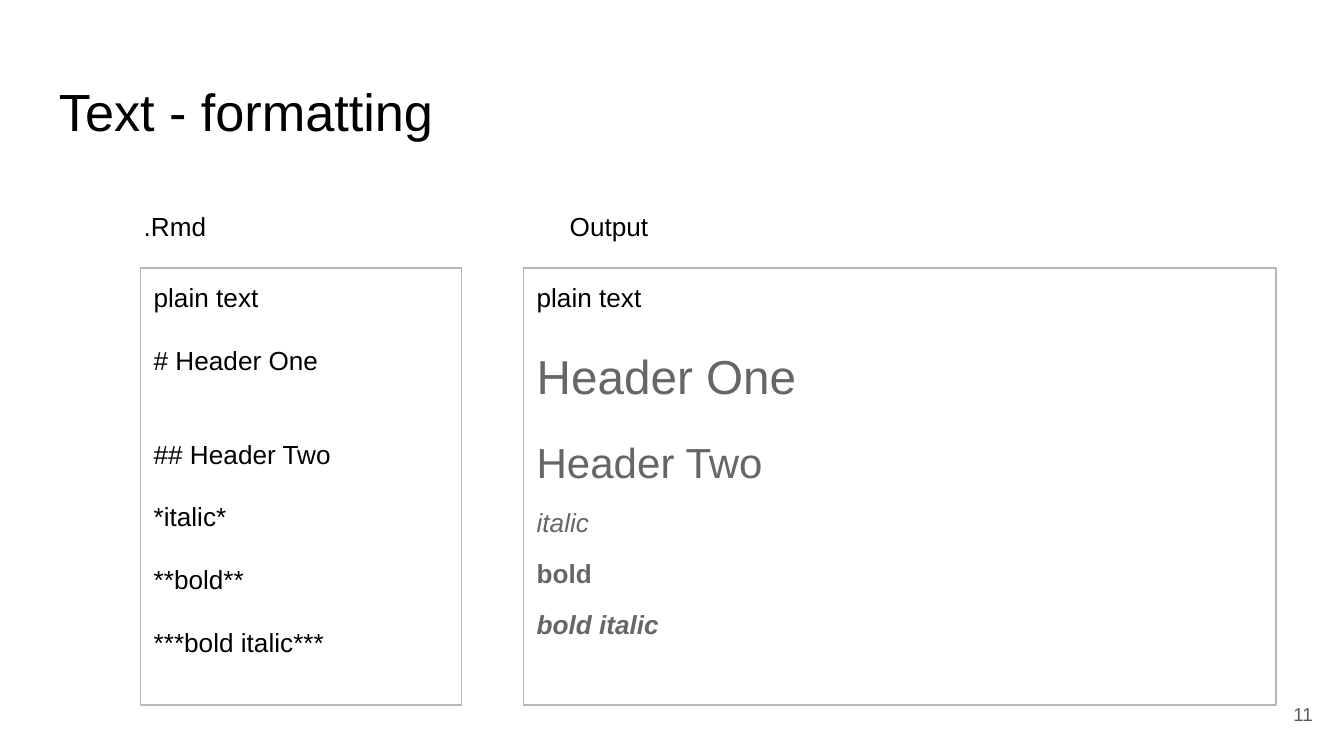
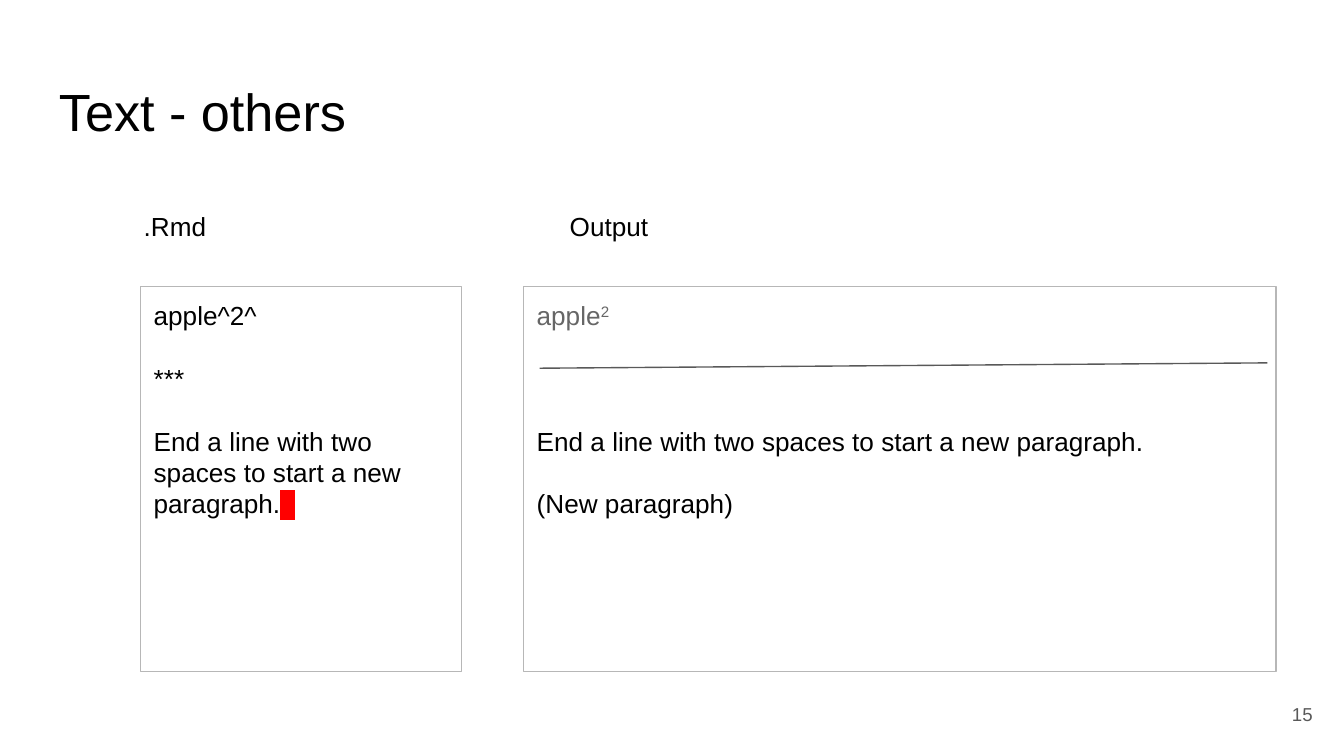
from dataclasses import dataclass

import pptx
import pptx.dml.color
import pptx.enum.shapes
import pptx.enum.text
import pptx.oxml
import pptx.oxml.ns
import pptx.util

PIXEL = 4572
FONT = "Arial"
BODY_SIZE = 14
BLANK_LINE = 16.75
BLACK = pptx.dml.color.RGBColor(0x00, 0x00, 0x00)
DARK_GRAY = pptx.dml.color.RGBColor(0x59, 0x59, 0x59)
OUTPUT_GRAY = pptx.dml.color.RGBColor(0x66, 0x66, 0x66)
BORDER_GRAY = pptx.dml.color.RGBColor(0xB7, 0xB7, 0xB7)
RED = pptx.dml.color.RGBColor(0xFF, 0x00, 0x00)
LEFT = pptx.enum.text.PP_ALIGN.LEFT
RIGHT = pptx.enum.text.PP_ALIGN.RIGHT
JUSTIFY = pptx.enum.text.PP_ALIGN.JUSTIFY
TOP = pptx.enum.text.MSO_ANCHOR.TOP
MIDDLE = pptx.enum.text.MSO_ANCHOR.MIDDLE


@dataclass
class Line:
    text: str
    size: float = BODY_SIZE
    color: pptx.dml.color.RGBColor = BLACK
    bold: bool = False
    italic: bool = False
    before: float = 0
    spacing: float = 1.0
    align: object = LEFT
    superscript: str = ""
    marked: str = ""


def px(*lengths):
    return [pptx.util.Emu(length * PIXEL) for length in lengths]


def add_superscript(paragraph, text):
    run = paragraph.add_run()
    run.text = text
    run.font._element.set("baseline", "30000")


def add_marked(paragraph, text):
    run = paragraph.add_run()
    run.text = text
    run.font.color.rgb = RED
    namespace = pptx.oxml.ns.nsdecls("a")
    run.font._element.append(pptx.oxml.parse_xml(
        f'<a:highlight {namespace}><a:srgbClr val="{RED}"/></a:highlight>'))


def write_lines(shape, lines, anchor=TOP):
    frame = shape.text_frame
    frame.word_wrap = True
    frame.vertical_anchor = anchor
    frame.margin_left, frame.margin_top, frame.margin_right, frame.margin_bottom = px(20, 20, 20, 20)
    for index, line in enumerate(lines):
        paragraph = frame.add_paragraph() if index else frame.paragraphs[0]
        paragraph.alignment = line.align
        paragraph.line_spacing = line.spacing
        paragraph.space_before = pptx.util.Pt(line.before)
        font = paragraph.font
        font.name = FONT
        font.size = pptx.util.Pt(line.size)
        font.bold = line.bold
        font.italic = line.italic
        font.color.rgb = line.color
        paragraph.add_run().text = line.text
        if line.superscript:
            add_superscript(paragraph, line.superscript)
        if line.marked:
            add_marked(paragraph, line.marked)


def add_text(slide, box, line, anchor=TOP):
    write_lines(slide.shapes.add_textbox(*px(*box)), [line], anchor)


def add_panel(slide, box, lines):
    panel = slide.shapes.add_shape(pptx.enum.shapes.MSO_SHAPE.RECTANGLE, *px(*box))
    panel.shadow.inherit = False
    panel.fill.background()
    panel.line.color.rgb = BORDER_GRAY
    panel.line.width = pptx.util.Pt(0.75)
    write_lines(panel, lines)


def add_rule(slide, start, end):
    rule = slide.shapes.add_connector(
        pptx.enum.shapes.MSO_CONNECTOR.STRAIGHT, *px(*start, *end))
    rule.line.color.rgb = DARK_GRAY
    rule.line.width = pptx.util.Pt(0.75)
    rule._element.spPr.append(
        pptx.oxml.parse_xml(f'<a:effectLst {pptx.oxml.ns.nsdecls("a")}/>'))


def add_comparison(presentation, title, number, top, height, source, output):
    slide = presentation.slides.add_slide(presentation.slide_layouts[6])
    add_text(slide, (68, 98, 1864, 126), Line(title, size=28))
    for left, label in ((194, ".Rmd"), (828, "Output")):
        add_text(slide, (left, 293, 582, 78), Line(label))
    add_panel(slide, (209, top, 478, height), source)
    add_panel(slide, (779, top, 1120, height), output)
    add_text(slide, (1853, 1020, 120, 86),
             Line(number, size=10, color=DARK_GRAY, align=RIGHT), MIDDLE)
    return slide


def spaced(text, blanks=1, **style):
    return Line(text, before=blanks * BLANK_LINE, **style)


def rendered_header(text, size):
    return Line(text, size=size, color=OUTPUT_GRAY, before=15, spacing=1.1, align=JUSTIFY)


def rendered_text(text, **style):
    return Line(text, color=OUTPUT_GRAY, before=8, spacing=1.15, **style)


def main():
    presentation = pptx.Presentation()
    presentation.slide_width, presentation.slide_height = px(2000, 1125)

    add_comparison(
        presentation, "Text - formatting", "11", 399, 650,
        [
            Line("plain text"),
            spaced("# Header One"),
            spaced("## Header Two", blanks=2),
            spaced("*italic*"),
            spaced("**bold**"),
            spaced("***bold italic***"),
        ],
        [
            Line("plain text"),
            rendered_header("Header One", 25.5),
            rendered_header("Header Two", 22.5),
            rendered_text("italic", italic=True),
            rendered_text("bold", bold=True),
            rendered_text("bold italic", bold=True, italic=True),
        ])

    sentence = "End a line with two spaces to start a new paragraph."
    others = add_comparison(
        presentation, "Text - others", "15", 426, 573,
        [
            Line("apple^2^"),
            spaced("***"),
            spaced(sentence, marked=" ."),
        ],
        [
            Line("apple", color=OUTPUT_GRAY, superscript="2"),
            spaced(sentence, blanks=3),
            spaced("(New paragraph)"),
        ])
    add_rule(others, (803, 548), (1886, 540))

    presentation.save("out.pptx")


if __name__ == "__main__":
    main()
